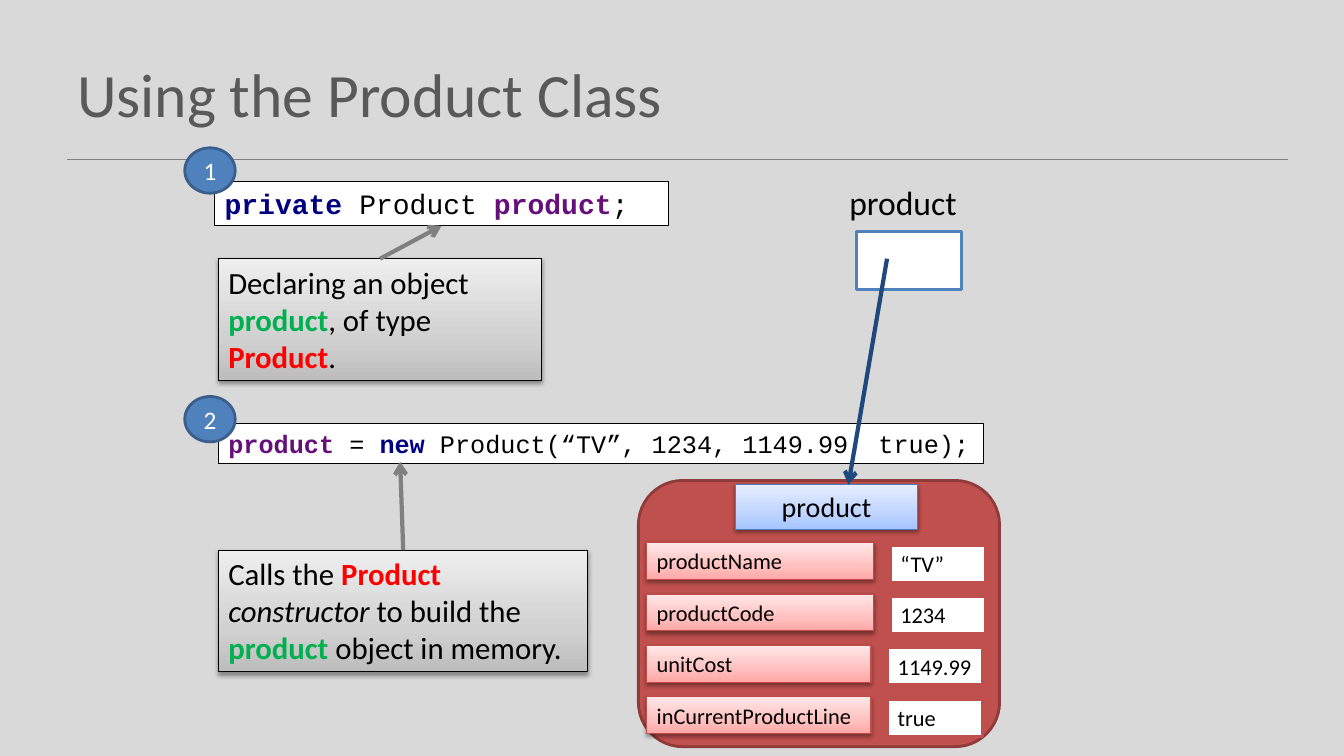
from collections import namedtuple

from lxml.etree import SubElement
from pptx import Presentation
from pptx.dml.color import RGBColor
from pptx.enum.shapes import MSO_CONNECTOR, MSO_SHAPE
from pptx.enum.text import MSO_ANCHOR, PP_ALIGN
from pptx.oxml import parse_xml
from pptx.oxml.ns import nsdecls, qn
from pptx.util import Emu, Pt

COLUMNS, ROWS = 160, 90
CELL = 76200
BLACK, WHITE, GRAY, BLUE, RED = "000000", "FFFFFF", "808080", "4F81BD", "C0504D"
KEYWORD, FIELD, CLASS, OBJECT = "000080", "660E7A", "FF0000", "00B050"
SILVER = ("BDBDBD", "D1D1D1", "EEEEEE")
PINK = ("FFA6A5", "FFC0BF", "FFE7E7")
SKY = ("A4C4FF", "BFD4FF", "E6EEFF")

Box = namedtuple("Box", "left top width height")
Step = namedtuple("Step", "number box code code_size code_box wrap note note_box tip")

STEPS = [
    Step("1", Box(22, 17.6, 57.56, 27.7),
         [("private ", KEYWORD, "b"), ("Product ", BLACK, ""),
          ("product", FIELD, "b"), (";", BLACK, "")],
         20, Box(3.56, 4, 54, 5.28), True,
         [("Declaring an object ", BLACK, ""), ("product", OBJECT, "b"),
          (", of type ", BLACK, ""), ("Product", CLASS, "b"), (".", BLACK, "")],
         Box(4, 13.2, 38.5, 14.5), None),
    Step("2", Box(22, 47.2, 95.08, 32.8),
         [("product ", FIELD, "b"), ("= ", BLACK, ""), ("new ", KEYWORD, "b"),
          ("Product(“TV”, 1234, 1149.99, true);", BLACK, "")],
         18, Box(4, 3.2, 91.08, 4.8), False,
         [("Calls the ", BLACK, ""), ("Product ", CLASS, "b"),
          ("constructor", BLACK, "i"), (" to build the ", BLACK, ""),
          ("product ", OBJECT, "b"), ("object in memory.", BLACK, "")],
         Box(4, 18.3, 44, 14.5), (25.64, 7.76)),
]

FIELDS = [("productName", "“TV”", 0), ("productCode", "1234", 0),
          ("unitCost", "1149.99", 0.3), ("inCurrentProductLine", "true", 0.3)]


def color(value):
    """Turn a hex string into a colour."""
    return RGBColor.from_string(value)


def grid(*cells):
    """Turn grid cells into slide lengths."""
    return [Emu(round(cell * CELL)) for cell in cells]


def inside(region, part):
    """Shift a part by the corner of its region."""
    return part._replace(left=region.left + part.left, top=region.top + part.top)


def write(shape, spans, size, font="Calibri", align=PP_ALIGN.LEFT,
          anchor=MSO_ANCHOR.TOP, wrap=True):
    """Fill a shape with one paragraph of (text, colour, style) spans."""
    frame = shape.text_frame
    frame.word_wrap = wrap
    frame.vertical_anchor = anchor
    para = frame.paragraphs[0]
    para.alignment = align
    for text, ink, style in spans:
        span = para.add_run()
        span.text = text
        span.font.name = font
        span.font.size = Pt(size)
        span.font.bold = "b" in style
        span.font.italic = "i" in style
        span.font.color.rgb = color(ink)


def draw(page, box, fill, line, weight, kind=MSO_SHAPE.RECTANGLE):
    """Add a flat preset shape."""
    shape = page.shapes.add_shape(kind, *grid(*box))
    shape.shadow.inherit = False
    shape.fill.solid()
    shape.fill.fore_color.rgb = color(fill)
    shape.line.color.rgb = color(line)
    shape.line.width = Pt(weight)
    return shape


def draw_raised(page, box, shades, line):
    """Add a rectangle with an upward gradient and a soft shadow."""
    shape = draw(page, box, shades[0], line, 0.75)
    stops = "".join(f'<a:gs pos="{place}"><a:srgbClr val="{shade}"/></a:gs>'
                    for place, shade in zip((0, 35000, 100000), shades))
    properties = shape.element.spPr
    properties.replace(properties.find(qn("a:solidFill")), parse_xml(
        f'<a:gradFill {nsdecls("a")} rotWithShape="1"><a:gsLst>{stops}</a:gsLst>'
        '<a:lin ang="16200000" scaled="0"/></a:gradFill>'))
    properties.find(qn("a:effectLst")).append(parse_xml(
        f'<a:outerShdw {nsdecls("a")} blurRad="40000" dist="20000" dir="5400000" '
        'rotWithShape="0"><a:srgbClr val="000000"><a:alpha val="38000"/>'
        '</a:srgbClr></a:outerShdw>'))
    return shape


def connect(page, start, end, ink, weight, arrow=True):
    """Add a straight line, with an arrowhead at its end if wanted."""
    line = page.shapes.add_connector(MSO_CONNECTOR.STRAIGHT, *grid(*start, *end))
    line.line.color.rgb = color(ink)
    line.line.width = Pt(weight)
    if arrow:
        SubElement(line.line._get_or_add_ln(), qn("a:tailEnd"), type="arrow")
    SubElement(line.element.spPr, qn("a:effectLst"))
    return line


def add_heading(page, box):
    """Place the title and the rule below it."""
    rule = box.top + 15.4
    connect(page, (box.left, rule), (box.left + 145.36, rule), GRAY, 1, arrow=False)
    title = page.shapes.add_textbox(*grid(*box))
    write(title, [("Using the Product Class", "595959", "")], 44,
          anchor=MSO_ANCHOR.MIDDLE)


def add_step(page, step):
    """Place a numbered line of code with its explanation."""
    code_box = inside(step.box, step.code_box)
    note_box = inside(step.box, step.note_box)
    code = draw(page, code_box, WHITE, BLACK, 0.75)
    write(code, step.code, step.code_size, "Courier New",
          anchor=MSO_ANCHOR.MIDDLE, wrap=step.wrap)
    note = draw_raised(page, note_box, SILVER, BLACK)
    write(note, step.note, 22)
    left, top = step.tip or (0, 0)
    arrow = connect(page, (note_box.left, note_box.top),
                    (step.box.left + left, step.box.top + top), GRAY, 3)
    arrow.begin_connect(note, 0)
    if step.tip is None:
        arrow.end_connect(code, 2)
    badge = draw(page, inside(step.box, Box(0, 0, 6, 5.4)), BLUE, "3A5F8C", 2,
                 MSO_SHAPE.OVAL)
    write(badge, [(step.number, WHITE, "")], 18, align=PP_ALIGN.CENTER,
          anchor=MSO_ANCHOR.MIDDLE)


def add_object(page, box):
    """Place the object in memory with its fields and values."""
    draw(page, box, RED, "8E3B39", 2, MSO_SHAPE.ROUNDED_RECTANGLE)
    header = draw_raised(page, inside(box, Box(11.6, 0.5, 21.6, 5.3)), SKY, "4B7EBC")
    write(header, [("product", BLACK, "")], 20, align=PP_ALIGN.CENTER)
    for row, (name, value, shift) in enumerate(FIELDS):
        top = 7.4 + row * 6.12
        label = draw_raised(page, inside(box, Box(1, top, 27 - shift, 4.4)),
                            PINK, "BF4C48")
        write(label, [(name, BLACK, "")], 16)
        cell = draw(page, inside(box, Box(30 - shift, top + 0.3, 11.3, 4.4)),
                    WHITE, RED, 2)
        write(cell, [(value, BLACK, "")], 16)


def add_variable(page, box):
    """Place the variable and the arrow to the object it refers to."""
    label = page.shapes.add_textbox(*grid(box.left, box.top, box.width, 6))
    write(label, [("product", BLACK, "")], 24, align=PP_ALIGN.CENTER)
    draw(page, inside(box, Box(6, 6.5, 12.5, 6.85)), WHITE, BLUE, 2)
    connect(page, (box.left + 9.6, box.top + 9.7),
            (box.left + 5, box.top + box.height), "1F497D", 3)


def main():
    """Build the slide and save it."""
    deck = Presentation()
    deck.slide_width, deck.slide_height = grid(COLUMNS, ROWS)
    page = deck.slides.add_slide(deck.slide_layouts[6])
    page.background.fill.solid()
    page.background.fill.fore_color.rgb = color("D9D9D9")
    add_heading(page, Box(8, 3.6, 144, 15))
    for step in STEPS:
        add_step(page, step)
    add_object(page, Box(76, 57.2, 43, 31.7))
    add_variable(page, Box(96, 21.1, 23, 36.6))
    deck.save("out.pptx")


if __name__ == "__main__":
    main()
